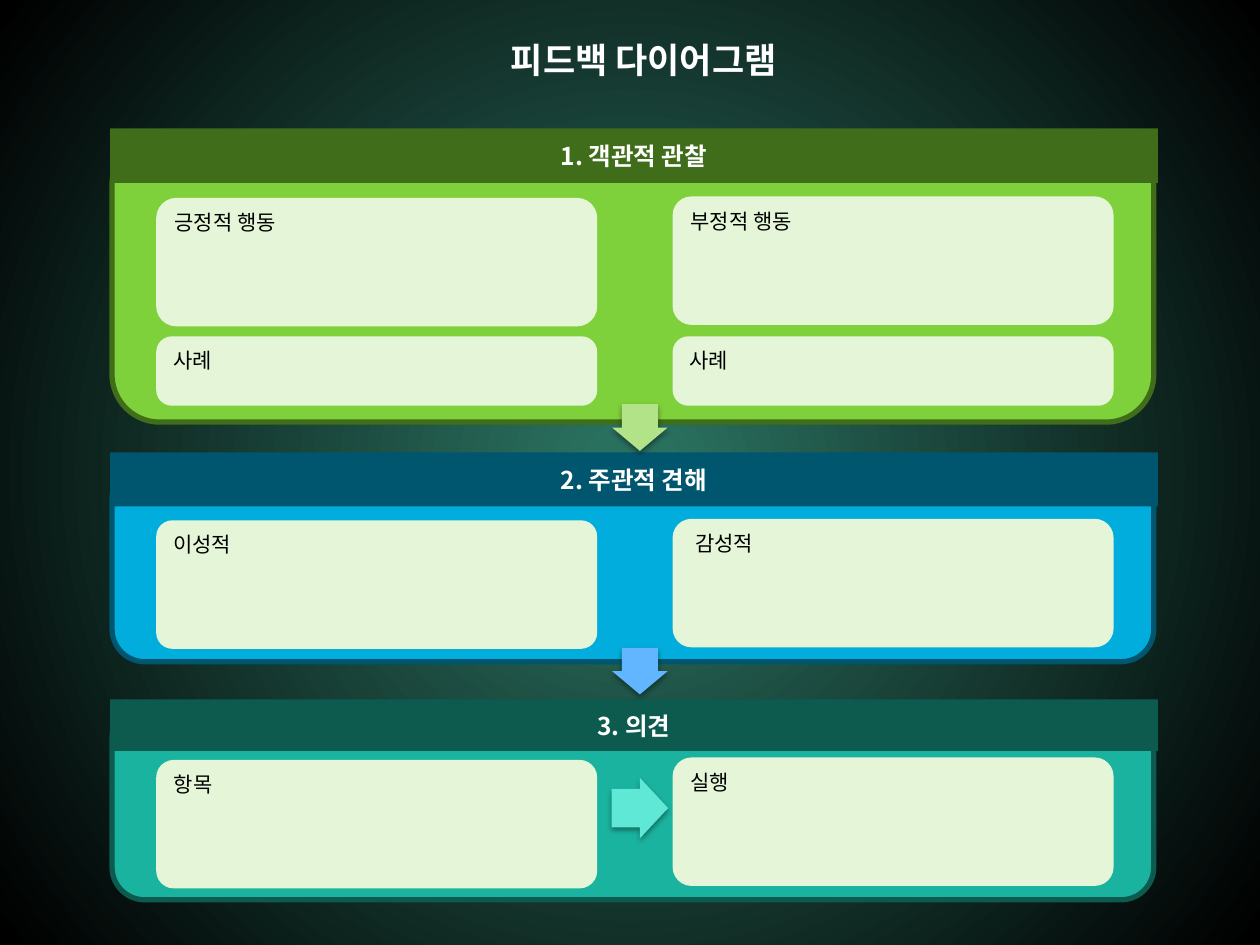
from lxml import etree
from pptx import Presentation, util as u
from pptx.dml.color import RGBColor
from pptx.enum import shapes, text
from pptx.oxml import ns, parse_xml

FONT = "Noto Sans CJK KR"
COLORS = {
    "white": "FFFFFF", "black": "000000", "glow": "2A705F", "box": "E5F6D8",
    "green": "7FD13B", "dark green": "3F6D19", "light green": "B2E389",
    "blue": "00ADDC", "dark blue": "00566E", "light blue": "61B6FF",
    "teal": "1AB39F", "dark teal": "0D5A4F", "light teal": "5FE8D6",
}

TITLE = "피드백 다이어그램"
PANEL_LEFT, PANEL_WIDTH = 2.26, 21
HEADER_LEFT, HEADER_WIDTH = 2.22, 21.12
COLUMN_LEFTS, BOX_WIDTH = (3.15, 13.56), 8.89
TALL, SHORT = 2.59, 1.4
INSET = 0.25

SECTIONS = [
    {"title": "1. 객관적 관찰", "color": "green", "panel": (2.74, 5.77), "header": (2.59, 1.1)},
    {"title": "2. 주관적 견해", "color": "blue", "panel": (9.4, 3.94), "header": (9.12, 1.09)},
    {"title": "3. 의견", "color": "teal", "panel": (14.2, 3.94), "header": (14.1, 1.04)},
]
BOXES = [
    ("긍정적 행동", 0, 3.99, TALL, 0.157, INSET),
    ("부정적 행동", 1, 3.96, TALL, 0.146, INSET),
    ("사례", 0, 6.78, SHORT, 0.225, INSET),
    ("사례", 1, 6.78, SHORT, 0.225, INSET),
    ("이성적", 0, 10.49, TALL, 0.125, INSET),
    ("감성적", 1, 10.46, TALL, 0.146, INSET + 0.1),
    ("항목", 0, 15.32, TALL, 0.136, INSET),
    ("실행", 1, 15.27, TALL, 0.146, INSET),
]
ARROWS = [
    ("light green", (12.34, 8.15, 1.12, 0.94), 0.647, 0),
    ("light blue", (12.34, 13.06, 1.12, 0.94), 0.647, 0),
    ("light teal", (12.29, 15.72, 1.22, 1.14), 0.633, 270),
]


def rgb(name):
    return RGBColor.from_string(COLORS[name])


def write(shape, content, size=12, color="black", bold=False, align="LEFT",
          anchor="TOP", inset=INSET):
    frame = shape.text_frame
    frame.word_wrap = True
    frame.margin_left = u.Cm(inset)
    frame.vertical_anchor = text.MSO_ANCHOR[anchor]
    paragraph = frame.paragraphs[0]
    paragraph.alignment = text.PP_ALIGN[align]
    run = paragraph.add_run()
    run.text = content
    font = run.font
    font.name, font.size, font.bold = FONT, u.Pt(size), bold
    font.color.rgb = rgb(color)
    etree.SubElement(run._r.get_or_add_rPr(), ns.qn("a:ea")).set("typeface", FONT)


def add_shape(parent, kind, place, fill, adjustments=(), line=None):
    shape = parent.shapes.add_shape(shapes.MSO_SHAPE[kind], *map(u.Cm, place))
    shape.shadow.inherit = False
    shape.fill.solid()
    shape.fill.fore_color.rgb = rgb(fill)
    for index, value in enumerate(adjustments):
        shape.adjustments[index] = value
    if line:
        shape.line.color.rgb = rgb(line)
        shape.line.width = u.Pt(3)
    else:
        shape.line.fill.background()
    return shape


def add_shadow(shape):
    effects = shape._element.spPr.find(ns.qn("a:effectLst"))
    effects.append(parse_xml(
        f'<a:outerShdw {ns.nsdecls("a")} blurRad="{u.Pt(3.1)}" dist="{u.Pt(1.6)}" '
        'dir="5400000" rotWithShape="0">'
        f'<a:srgbClr val="{COLORS["black"]}"><a:alpha val="38000"/></a:srgbClr>'
        '</a:outerShdw>'))


def set_background(slide):
    fill = slide.background.fill
    fill.gradient()
    for stop, name, position in zip(fill.gradient_stops, ("glow", "black"), (0.05, 0.99)):
        stop.color.rgb = rgb(name)
        stop.position = position
    gradient = slide._element.cSld.find(".//" + ns.qn("a:gradFill"))
    gradient.remove(gradient.find(ns.qn("a:lin")))
    gradient.find(ns.qn("a:gsLst")).addnext(parse_xml(
        f'<a:path {ns.nsdecls("a")} path="circle">'
        '<a:fillToRect l="50000" t="50000" r="50000" b="50000"/></a:path>'))


def main():
    presentation = Presentation()
    presentation.slide_width, presentation.slide_height = u.Cm(25.4), u.Cm(19.05)
    slide = presentation.slides.add_slide(presentation.slide_layouts[6])
    set_background(slide)

    for section in SECTIONS:
        group = slide.shapes.add_group_shape()
        color, dark = section["color"], "dark " + section["color"]
        top, height = section["panel"]
        add_shape(group, "ROUNDED_RECTANGLE", (PANEL_LEFT, top, PANEL_WIDTH, height),
                  color, line=dark)
        top, height = section["header"]
        header = add_shape(group, "ROUNDED_RECTANGLE",
                           (HEADER_LEFT, top, HEADER_WIDTH, height), dark, [0])
        write(header, section["title"], size=14, color="white", bold=True,
              align="CENTER", anchor="MIDDLE")

    for label, column, top, height, corner, inset in BOXES:
        box = add_shape(slide, "ROUNDED_RECTANGLE",
                        (COLUMN_LEFTS[column], top, BOX_WIDTH, height), "box", [corner])
        write(box, label, inset=inset)

    for color, place, shaft, rotation in ARROWS:
        arrow = add_shape(slide, "DOWN_ARROW", place, color, [shaft, 0.5])
        arrow.rotation = rotation
        add_shadow(arrow)

    title = slide.shapes.add_textbox(*map(u.Cm, (7.62, 0.66, 10.72, 1.12)))
    write(title, TITLE, size=20, color="white", bold=True, align="CENTER")
    presentation.save("out.pptx")


if __name__ == "__main__":
    main()
